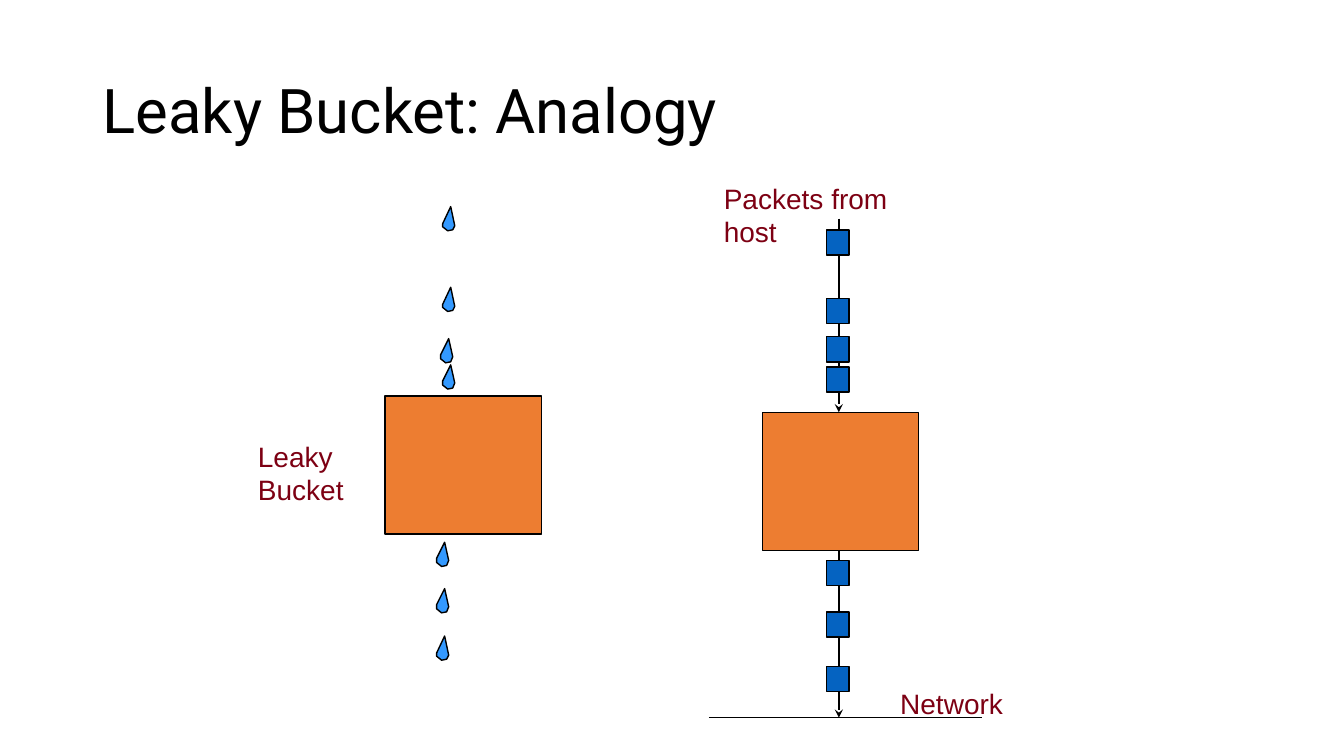
from pptx import Presentation, util as u
from pptx.dml.color import RGBColor
from pptx.enum import shapes as sh, text as tx
from pptx.oxml import parse_xml
from pptx.oxml.ns import nsdecls, qn

# Content: all lengths are cells of a grid with 100 cells to the inch
SIZE = (1333, 750)
TITLE = ((92, 40, 1150, 145), "Leaky Bucket: Analogy")
LABELS = [
    ((246, 431, 106, 77), ["Leaky", "Bucket"], 0),
    ((883, 676, 123, 44), ["Network"], 0),
    ((708, 175, 242, 77), ["Packets from host"], 50),
]
BUCKETS = [(382, 393), (756, 409)]
BUCKET = (155, 137)
DROP = [(-8, 16.5), (-8, 20), (-3, 24), (2, 23), (4, 18.5)]
DROPS = [(441, 538), (441, 584), (441, 631),
         (445, 336), (447, 362), (447, 285), (447, 205)]
PACKET = (22, 25)
PACKETS = [228, 296, 334, 364, 556, 607, 661]
FLOW = 832
FLOOR = 712
ARROWS = [(217, BUCKETS[1][1]), (BUCKETS[1][1] + BUCKET[1], FLOOR)]
GROUND = (703, 974)

THEME = {
    "ink": "000000", "label": "7D0013", "bucket": "ED7D31",
    "drop": "3399FF", "packet": "0563C1",
    "head": {"name": "Roboto", "size": u.Pt(44)},
    "body": {"name": "Arial", "size": u.Pt(20)},
}

CELL = u.Inches(0.01)
deck = Presentation()
deck.slide_width, deck.slide_height = [n * CELL for n in SIZE]
slide = deck.slides.add_slide(deck.slide_layouts[6])
items = slide.shapes


def grid(*cells):
    return [int(n * CELL) for n in cells]


def tint(name):
    return RGBColor.from_string(THEME[name])


def paint(shape, fill):
    shape.shadow.inherit = False
    shape.fill.solid()
    shape.fill.fore_color.rgb = tint(fill)
    shape.line.color.rgb = tint("ink")
    shape.line.width = u.Pt(1)


def block(x, y, size, fill):
    box = items.add_shape(sh.MSO_SHAPE.RECTANGLE, *grid(x, y, *size))
    paint(box, fill)


def drip(x, y):
    pen = items.build_freeform(x, y, scale=CELL)
    pen.add_line_segments([(x + dx, y + dy) for dx, dy in DROP], close=True)
    paint(pen.convert_to_shape(), "drop")


def rule(ends, arrow=False):
    line = items.add_connector(sh.MSO_CONNECTOR.STRAIGHT, *grid(*ends))
    line.line.color.rgb = tint("ink")
    line.line.width = u.Pt(1)
    props = line._element.spPr
    if arrow:
        props.find(qn("a:ln")).append(
            parse_xml(f'<a:tailEnd {nsdecls("a")} type="stealth"/>'))
    props.append(parse_xml(f'<a:effectLst {nsdecls("a")}/>'))


def write(at, lines, style, color, **frame):
    body = items.add_textbox(*grid(*at)).text_frame
    for key, val in {"word_wrap": True, **frame}.items():
        setattr(body, key, val)
    body.text = "\n".join(lines)
    for par in body.paragraphs:
        for key, val in THEME[style].items():
            setattr(par.font, key, val)
        par.font.color.rgb = tint(color)
    return body


# Title
head = write(TITLE[0], [TITLE[1]], "head", "ink",
             vertical_anchor=tx.MSO_ANCHOR.MIDDLE)
head.paragraphs[0].line_spacing = 0.9

# Water bucket and packet flow
for top, end in ARROWS:
    rule((FLOW, top, FLOW, end), arrow=True)
for spot in BUCKETS:
    block(*spot, BUCKET, "bucket")
for spot in DROPS:
    drip(*spot)
for top in PACKETS:
    block(FLOW - 12, top, PACKET, "packet")
rule((GROUND[0], FLOOR, GROUND[1], FLOOR))

# Labels
for at, lines, pad in LABELS:
    write(at, lines, "body", "label", margin_right=pad * CELL)

deck.save("out.pptx")
